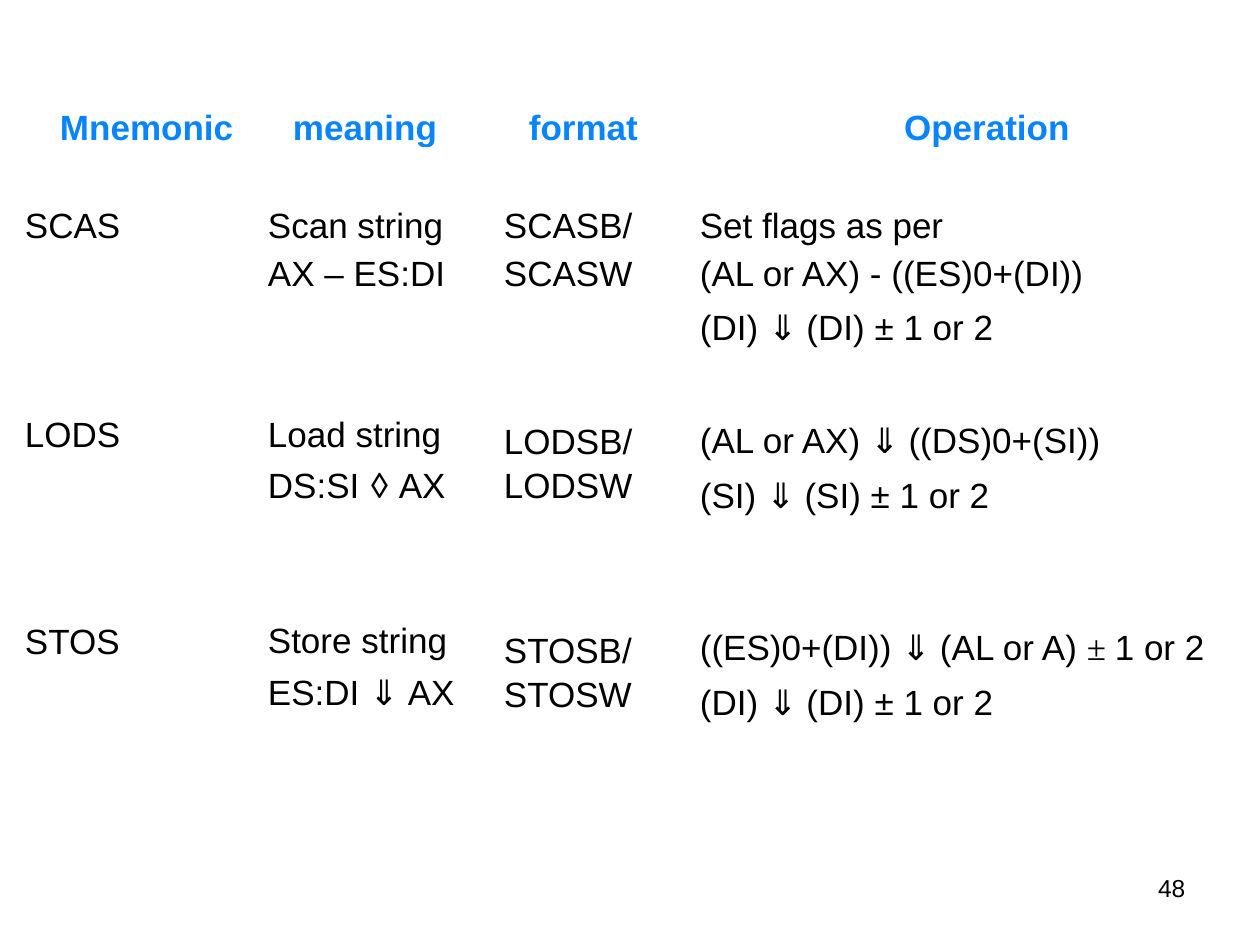
"""Build the slide that lists the SCAS, LODS and STOS string instructions."""
from pptx import Presentation
from pptx.dml.color import RGBColor
from pptx.enum.text import PP_ALIGN
from pptx.util import Pt

PIXEL = 914400 // 126
CENTER = PP_ALIGN.CENTER
COLORS = {"heading": "0984FF", "body": "000000"}
SYMBOL_FONTS = {"⇓ ": "Open Sans", "◊ ": "Open Sans", "± ": "Times New Roman"}

COLUMN_WIDTHS = [218, 252, 184, 585]
ROW_HEIGHTS = [43, 53, 53, 48, 82, 184, 150]
HEADING_INDENTS = [39, 54, 38, 39]
BODY_INDENTS = [4, 29, 13, 25]
ROWS = [
    ["Mnemonic", "meaning", "format", "Operation"],
    ["", "", "", ""],
    ["SCAS", "Scan string", "SCASB/", "Set flags as per"],
    ["", "AX – ES:DI", "SCASW", "(AL or AX) - ((ES)0+(DI))"],
    ["", "", "", "(DI) |⇓ |(DI) ± 1 or 2"],
    ["LODS", "Load string|\v|DS:SI |◊ |AX", "LODSB/|\v|LODSW",
     "(AL or AX) |⇓ |((DS)0+(SI))|\v|(SI) |⇓ |(SI) ± 1 or 2"],
    ["STOS", "Store string|\v|ES:DI |⇓ |AX", "STOSB/|\v|STOSW",
     "((ES)0+(DI)) |⇓ |(AL or A) |± |1 or 2|\v|(DI) |⇓ |(DI) ± 1 or 2"],
]
TOP_MARGINS = [[0] * 4, [0] * 4, [6] * 4, [1] * 4, [1] * 4,
               [32, 26, 35, 26], [55, 49, 60, 49]]
WRAPPED_SPACING = [1.0, 1.14, 1.11, 1.14]


def write_text(paragraph, text, size, color, bold=False):
    paragraph.font.size = Pt(size)
    paragraph.font.bold = bold
    paragraph.font.color.rgb = RGBColor.from_string(COLORS[color])
    for piece in text.split("|"):
        if piece == "\v":
            paragraph.add_line_break()
        elif piece:
            run = paragraph.add_run()
            run.text = piece
            run.font.name = SYMBOL_FONTS.get(piece, "Arial")


def set_margins(frame, left, top):
    frame.margin_left = left * PIXEL
    frame.margin_top = top * PIXEL
    frame.margin_right = frame.margin_bottom = 0


presentation = Presentation()
presentation.slide_width = 1260 * PIXEL
presentation.slide_height = 945 * PIXEL
slide = presentation.slides.add_slide(presentation.slide_layouts[6])

table = slide.shapes.add_table(
    len(ROWS), len(COLUMN_WIDTHS), 21 * PIXEL, 105 * PIXEL,
    sum(COLUMN_WIDTHS) * PIXEL, sum(ROW_HEIGHTS) * PIXEL).table
table.first_row = False
table.horz_banding = False
for column, width in zip(table.columns, COLUMN_WIDTHS):
    column.width = width * PIXEL
for row, height in zip(table.rows, ROW_HEIGHTS):
    row.height = height * PIXEL

for row_index, texts in enumerate(ROWS):
    heading = row_index == 0
    indents = HEADING_INDENTS if heading else BODY_INDENTS
    for column_index, text in enumerate(texts):
        cell = table.cell(row_index, column_index)
        cell.fill.background()
        set_margins(cell, indents[column_index], TOP_MARGINS[row_index][column_index])
        paragraph = cell.text_frame.paragraphs[0]
        write_text(paragraph, text, 20, "heading" if heading else "body", heading)
        if heading:
            paragraph.line_spacing = 1.1
        elif "\v" in text:
            paragraph.line_spacing = WRAPPED_SPACING[column_index]
table.cell(0, 3).text_frame.paragraphs[0].alignment = CENTER

page_number = slide.shapes.add_textbox(1154 * PIXEL, 868 * PIXEL, 34 * PIXEL, 32 * PIXEL)
page_number.text_frame.word_wrap = True
set_margins(page_number.text_frame, 4, 0)
number_paragraph = page_number.text_frame.paragraphs[0]
number_paragraph.line_spacing = 1.17
write_text(number_paragraph, "48", 14, "body")

presentation.save("out.pptx")
